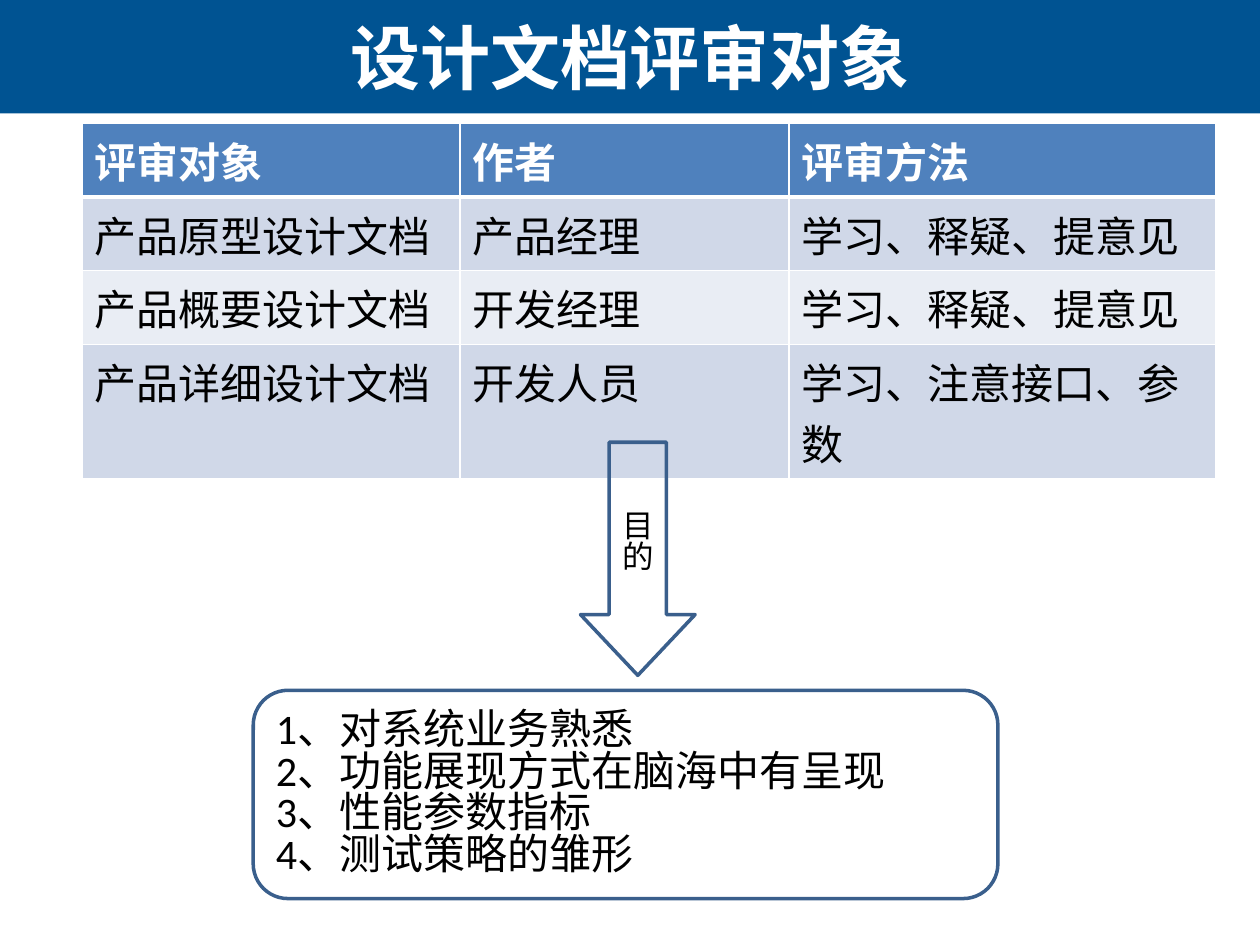
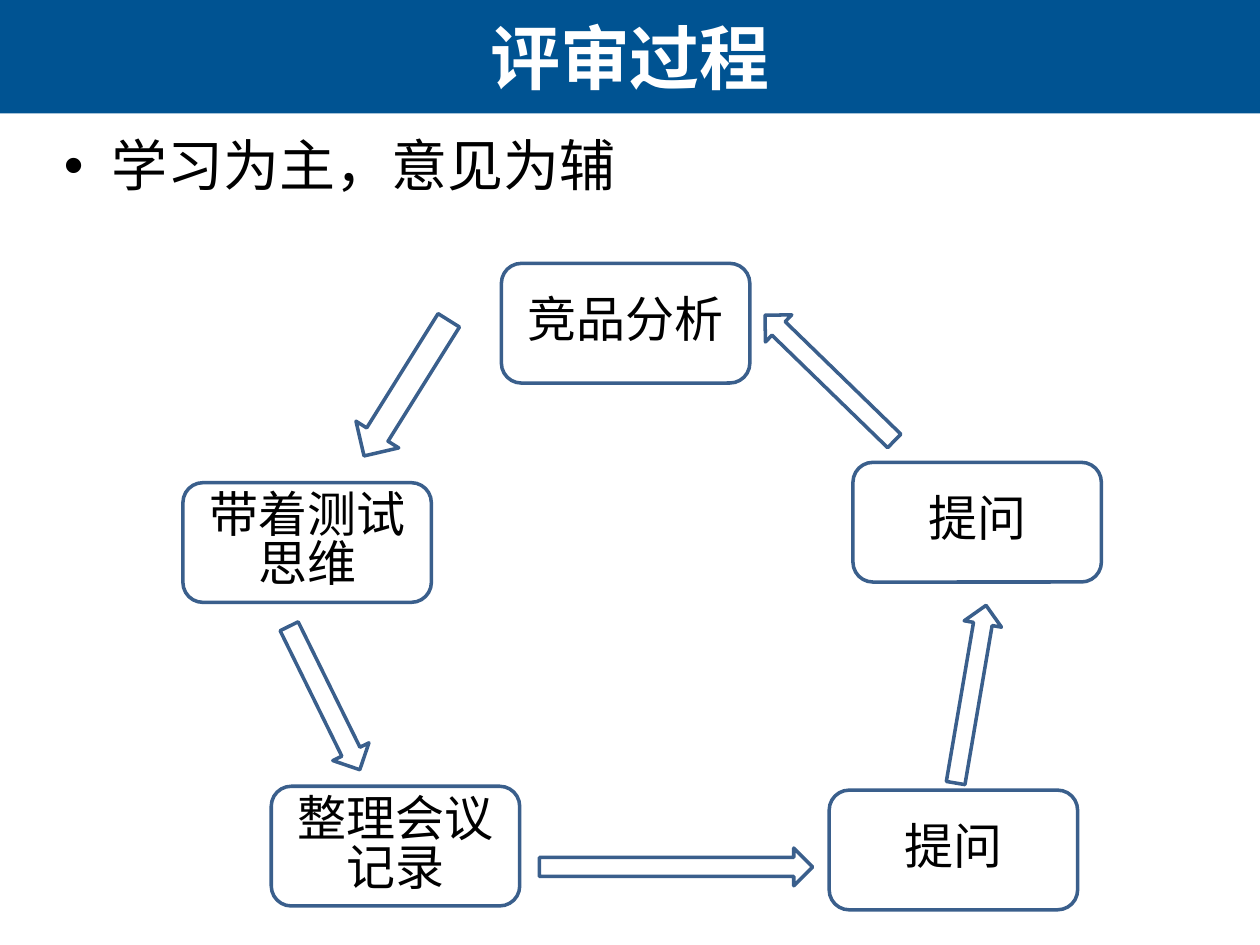
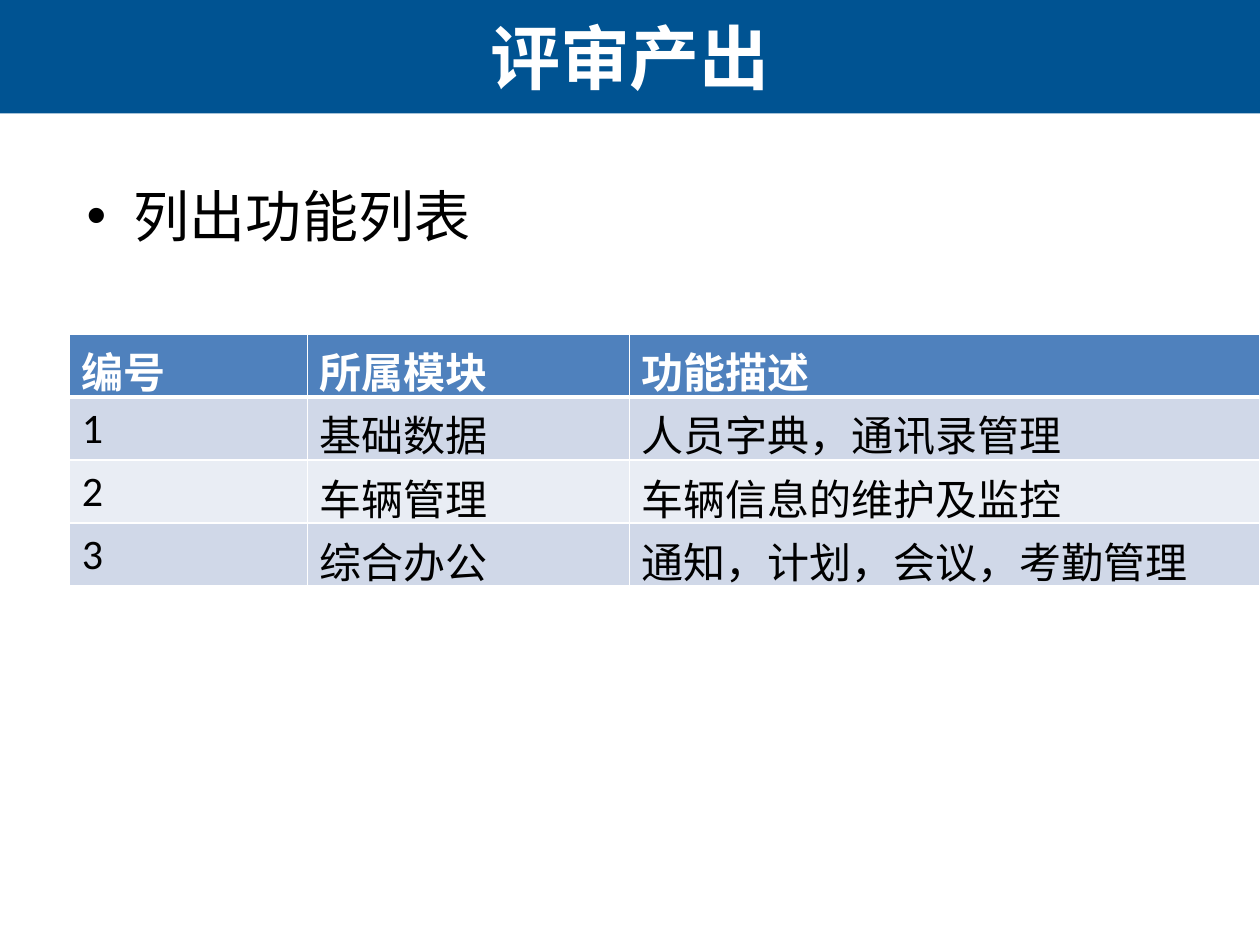
from dataclasses import dataclass

from lxml.etree import SubElement
from pptx import Presentation
from pptx.dml.color import RGBColor
from pptx.enum.shapes import MSO_SHAPE
from pptx.enum.text import MSO_ANCHOR, MSO_AUTO_SIZE, PP_ALIGN
from pptx.oxml import parse_xml
from pptx.oxml.ns import nsdecls, qn
from pptx.util import Pt


@dataclass(frozen=True)
class Theme:
    band: str = "005392"
    header: str = "4F81BD"
    odd_row: str = "D0D8E8"
    even_row: str = "E9EDF4"
    outline: str = "3A5F8C"
    white: str = "FFFFFF"
    black: str = "000000"
    heading_font: str = "Arial"
    body_font: str = "Calibri"
    title: int = 40
    bullet: int = 32
    step: int = 28
    text: int = 24
    label: int = 18
    shape_spacing: float = 0.83


theme = Theme()


def write(tf, text, size=theme.text, color=theme.black, font=theme.body_font,
          bold=False, align=PP_ALIGN.LEFT, spacing=None, bullet=False):
    for i, line in enumerate(text.split("\n")):
        p = tf.paragraphs[0] if i == 0 else tf.add_paragraph()
        p.alignment = align
        if spacing:
            p.line_spacing = spacing
        if bullet:
            pPr = p._p.get_or_add_pPr()
            pPr.set("marL", str(Pt(27)))
            pPr.set("indent", str(-Pt(27)))
            SubElement(pPr, qn("a:buFont"), typeface="Arial")
            SubElement(pPr, qn("a:buChar"), char="•")
        r = p.add_run()
        r.text = line
        r.font.size = Pt(size)
        r.font.name = font
        r.font.bold = bold
        r.font.color.rgb = RGBColor.from_string(color)


def add_outlined(s, kind, x, y, w, h, rotation=0):
    sp = s.shapes.add_shape(kind, Pt(x), Pt(y), Pt(w), Pt(h))
    sp.rotation = rotation
    sp.shadow.inherit = False
    sp.fill.background()
    sp.line.color.rgb = RGBColor.from_string(theme.outline)
    sp.line.width = Pt(2)
    sp.text_frame.word_wrap = True
    sp.text_frame.vertical_anchor = MSO_ANCHOR.MIDDLE
    return sp


prs = Presentation()
prs.slide_width, prs.slide_height = Pt(720), Pt(540)

slides = []
for title in ["设计文档评审对象", "评审过程", "评审产出"]:
    s = prs.slides.add_slide(prs.slide_layouts[5])
    sp = s.shapes.title
    sp.left, sp.top, sp.width, sp.height = Pt(0), Pt(0), Pt(720), Pt(65)
    tf = sp.text_frame
    tf.auto_size = MSO_AUTO_SIZE.NONE
    tf.vertical_anchor = MSO_ANCHOR.MIDDLE
    write(tf, title, size=theme.title, color=theme.white,
          font=theme.heading_font, bold=True, align=PP_ALIGN.CENTER)
    slides.append(s)
objects_slide, process_slide, output_slide = slides

band = objects_slide.shapes.add_shape(MSO_SHAPE.RECTANGLE, 0, 0, Pt(720), Pt(64.8))
band.shadow.inherit = False
band.fill.solid()
band.fill.fore_color.rgb = RGBColor.from_string(theme.band)
band.line.fill.background()
prs.slide_master.shapes.element.insert(2, band.element)

bullets = [
    (process_slide, 29.5, 71.3, 71.3, "学习为主，意见为辅"),
    (output_slide, 42.5, 100, 356, "列出功能列表"),
]
for s, x, y, h, text in bullets:
    tf = s.shapes.add_textbox(Pt(x), Pt(y), Pt(648), Pt(h)).text_frame
    tf.word_wrap = True
    write(tf, text, size=theme.bullet, font=theme.heading_font, bullet=True)

tables = [
    (objects_slide, 46.8, 70.6, [216, 188, 244], [
        ["评审对象", "作者", "评审方法"],
        ["产品原型设计文档", "产品经理", "学习、释疑、提意见"],
        ["产品概要设计文档", "开发经理", "学习、释疑、提意见"],
        ["产品详细设计文档", "开发人员", "学习、注意接口、参数"],
    ]),
    (output_slide, 39.6, 190.8, [136, 184, 360.4], [
        ["编号", "所属模块", "功能描述"],
        ["1", "基础数据", "人员字典，通讯录管理"],
        ["2", "车辆管理", "车辆信息的维护及监控"],
        ["3", "综合办公", "通知，计划，会议，考勤管理"],
    ]),
]
for s, x, y, widths, rows in tables:
    table = s.shapes.add_table(len(rows), len(widths), Pt(x), Pt(y),
                               Pt(sum(widths)), Pt(30 * len(rows))).table
    for column, width in zip(table.columns, widths):
        column.width = Pt(width)
    for i, row in enumerate(rows):
        is_header = i == 0
        fill = theme.header if is_header else theme.odd_row if i % 2 else theme.even_row
        borders = {"L": 1, "R": 1, "T": 3 if i == 1 else 1, "B": 3 if is_header else 1}
        for j, text in enumerate(row):
            cell = table.cell(i, j)
            write(cell.text_frame, text, bold=is_header,
                  color=theme.white if is_header else theme.black)
            tcPr = cell._tc.get_or_add_tcPr()
            for side, width in borders.items():
                tcPr.append(parse_xml(
                    f'<a:ln{side} {nsdecls("a")} w="{Pt(width)}"><a:solidFill>'
                    f'<a:srgbClr val="{theme.white}"/></a:solidFill></a:ln{side}>'))
            cell.fill.solid()
            cell.fill.fore_color.rgb = RGBColor.from_string(fill)

goals = add_outlined(objects_slide, MSO_SHAPE.ROUNDED_RECTANGLE, 144.7, 394.5, 425.5, 119)
write(goals.text_frame, "1、对系统业务熟悉\n2、功能展现方式在脑海中有呈现\n3、性能参数指标\n4、测试策略的雏形",
      spacing=theme.shape_spacing)

purpose = add_outlined(objects_slide, MSO_SHAPE.DOWN_ARROW, 331.7, 252.7, 65.5, 133.2)
purpose.adjustments[1] = 0.53
write(purpose.text_frame, "目的", size=theme.label, align=PP_ALIGN.CENTER,
      spacing=theme.shape_spacing)

steps = [
    (286.5, 150.5, "竞品分析"),
    (104.5, 275.8, "带着测试思维"),
    (155, 449.3, "整理会议记录"),
    (487.4, 264.2, "提问"),
    (473.8, 451.5, "提问"),
]
for x, y, text in steps:
    sp = add_outlined(process_slide, MSO_SHAPE.ROUNDED_RECTANGLE, x, y, 142, 68.4)
    write(sp.text_frame, text, size=theme.step, align=PP_ALIGN.CENTER,
          spacing=theme.shape_spacing)

arrows = [
    (308.2, 484.6, 156.2, 21.6, 0),
    (186.5, 207.4, 91.4, 28.8, 122),
    (139.7, 387.4, 91.4, 23, 63.8),
    (503.3, 385.9, 103, 21.6, 279.7),
    (422.6, 205.2, 103, 21.6, 224.2),
]
for x, y, w, h, rotation in arrows:
    add_outlined(process_slide, MSO_SHAPE.RIGHT_ARROW, x, y, w, h, rotation)

prs.save("out.pptx")
